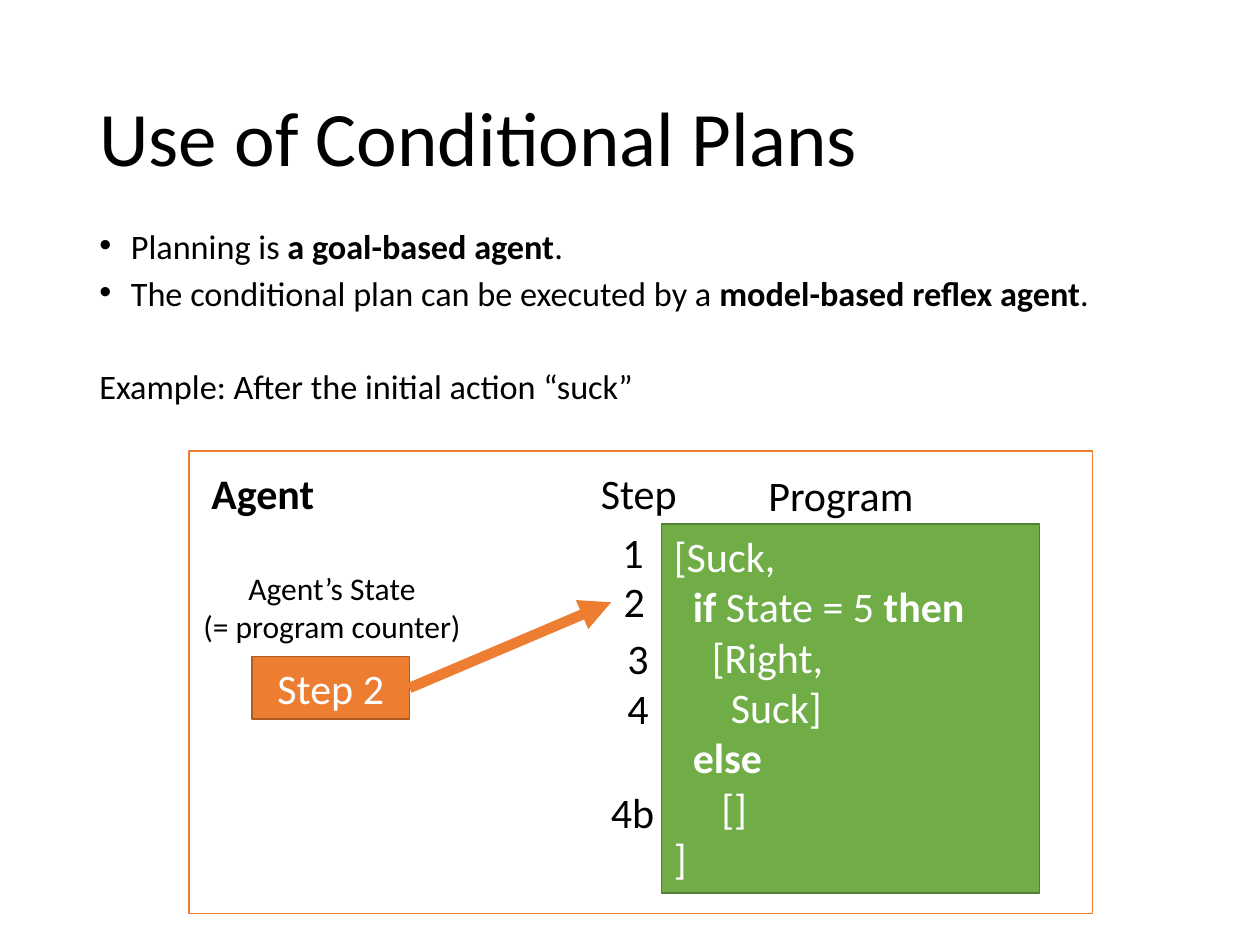
from dataclasses import dataclass

from lxml import etree
from pptx import Presentation
from pptx.dml.color import RGBColor
from pptx.enum.shapes import MSO_CONNECTOR, MSO_SHAPE
from pptx.enum.text import MSO_ANCHOR, PP_ALIGN
from pptx.oxml.ns import qn
from pptx.util import Inches, Pt

RECTANGLE = MSO_SHAPE.RECTANGLE
STRAIGHT = MSO_CONNECTOR.STRAIGHT
TOP, MIDDLE = MSO_ANCHOR.TOP, MSO_ANCHOR.MIDDLE
LEFT, CENTER = PP_ALIGN.LEFT, PP_ALIGN.CENTER
RIGHT_SIDE = 3
FONT = "Calibri"
COLORS = {
    "text": "000000",
    "light": "FFFFFF",
    "program": "70AD47",
    "program_edge": "538035",
    "accent": "ED7D31",
    "accent_edge": "AF5C24",
}


@dataclass
class Area:
    left: float
    top: float
    width: float
    height: float

    def lengths(self) -> list:
        return [Inches(n) for n in (self.left, self.top, self.width, self.height)]


@dataclass
class Line:
    """A paragraph whose bold parts stand between asterisks."""
    text: str
    bullet: bool = False
    before: float = 0


@dataclass
class Style:
    size: float = 24
    color: str = "text"
    align: PP_ALIGN = LEFT
    anchor: MSO_ANCHOR = TOP
    spacing: float = 1.0
    wrap: bool = True


def color(name: str) -> RGBColor:
    return RGBColor.from_string(COLORS[name])


def write(shape, lines: list[Line], style: Style) -> None:
    frame = shape.text_frame
    frame.word_wrap = style.wrap
    frame.vertical_anchor = style.anchor
    for index, line in enumerate(lines):
        para = frame.add_paragraph() if index else frame.paragraphs[0]
        para.alignment = style.align
        para.line_spacing = style.spacing
        para.space_before = Pt(line.before)
        if line.bullet:
            properties = para._p.get_or_add_pPr()
            properties.set("marL", str(Inches(0.25)))
            properties.set("indent", str(Inches(-0.25)))
            etree.SubElement(properties, qn("a:buFont")).set("typeface", "Arial")
            etree.SubElement(properties, qn("a:buChar")).set("char", "•")
        para.font.name = FONT
        para.font.size = Pt(style.size)
        para.font.color.rgb = color(style.color)
        for part, text in enumerate(line.text.split("*")):
            if text:
                span = para.add_run()
                span.text = text
                span.font.bold = part % 2 == 1


def add_text(slide, area: Area, lines: list[Line], style: Style) -> None:
    write(slide.shapes.add_textbox(*area.lengths()), lines, style)


def add_box(slide, area: Area, fill: str | None, edge: str, weight: float):
    box = slide.shapes.add_shape(RECTANGLE, *area.lengths())
    box.shadow.inherit = False
    if fill:
        box.fill.solid()
        box.fill.fore_color.rgb = color(fill)
    else:
        box.fill.background()
    box.line.color.rgb = color(edge)
    box.line.width = Pt(weight)
    return box


def add_arrow(slide, source, end: tuple[float, float]) -> None:
    x, y = (Inches(n) for n in end)
    arrow = slide.shapes.add_connector(STRAIGHT, x, y, x, y)
    arrow.begin_connect(source, RIGHT_SIDE)
    arrow.line.color.rgb = color("accent")
    arrow.line.width = Pt(6)
    etree.SubElement(arrow.line._get_or_add_ln(), qn("a:tailEnd")).set("type", "triangle")
    etree.SubElement(arrow._element.spPr, qn("a:effectLst"))


PROGRAM = [
    "[Suck,",
    "*  if* State = 5 *then*",
    "    [Right,",
    "      Suck]",
    "*  else*",
    "     []",
    "]",
]
BODY = [
    Line("Planning is *a goal-based agent*.", bullet=True),
    Line("The conditional plan can be executed by a *model-based reflex agent*.", True, 10),
    Line("Example: After the initial action “suck”", before=36.7),
]
LABELS = {
    "2": Area(4.85, 4.52, 0.42, 0.5),
    "3": Area(4.88, 4.97, 0.42, 0.5),
    "4": Area(4.88, 5.37, 0.42, 0.5),
    "Step": Area(4.67, 3.66, 1, 0.5),
    "1": Area(4.84, 4.13, 0.42, 0.5),
    "4b": Area(4.75, 6.19, 0.58, 0.5),
    "Program": Area(6, 3.68, 1.36, 0.5),
    "*Agent*": Area(1.58, 3.66, 1.33, 0.5),
}


def main() -> None:
    """Build the slide on conditional plans."""
    deck = Presentation()
    deck.slide_width, deck.slide_height = Inches(10), Inches(7.5)
    page = deck.slides.add_slide(deck.slide_layouts[6])

    add_text(page, Area(0.69, 0.4, 8.62, 1.45), [Line("Use of Conditional Plans")],
             Style(44, anchor=MIDDLE, spacing=0.9))
    add_text(page, Area(0.69, 1.83, 8.62, 1.75), BODY, Style(19.6, spacing=0.7))

    program = add_box(page, Area(5.25, 4.16, 3, 2.93), "program", "program_edge", 1)
    write(program, [Line(text) for text in PROGRAM], Style(color="light"))
    state = add_box(page, Area(2, 5.21, 1.25, 0.5), "accent", "accent_edge", 1)
    write(state, [Line("Step 2")], Style(color="light", align=CENTER))
    add_arrow(page, state, (4.85, 4.78))

    for text, area in LABELS.items():
        add_text(page, area, [Line(text)], Style(wrap=False))
    add_text(page, Area(0.97, 4.47, 3.33, 0.71),
             [Line("Agent’s State"), Line("(= program counter)")], Style(18, align=CENTER))
    add_box(page, Area(1.5, 3.58, 7.17, 3.67), None, "accent", 0.75)

    deck.save("out.pptx")


if __name__ == "__main__":
    main()
